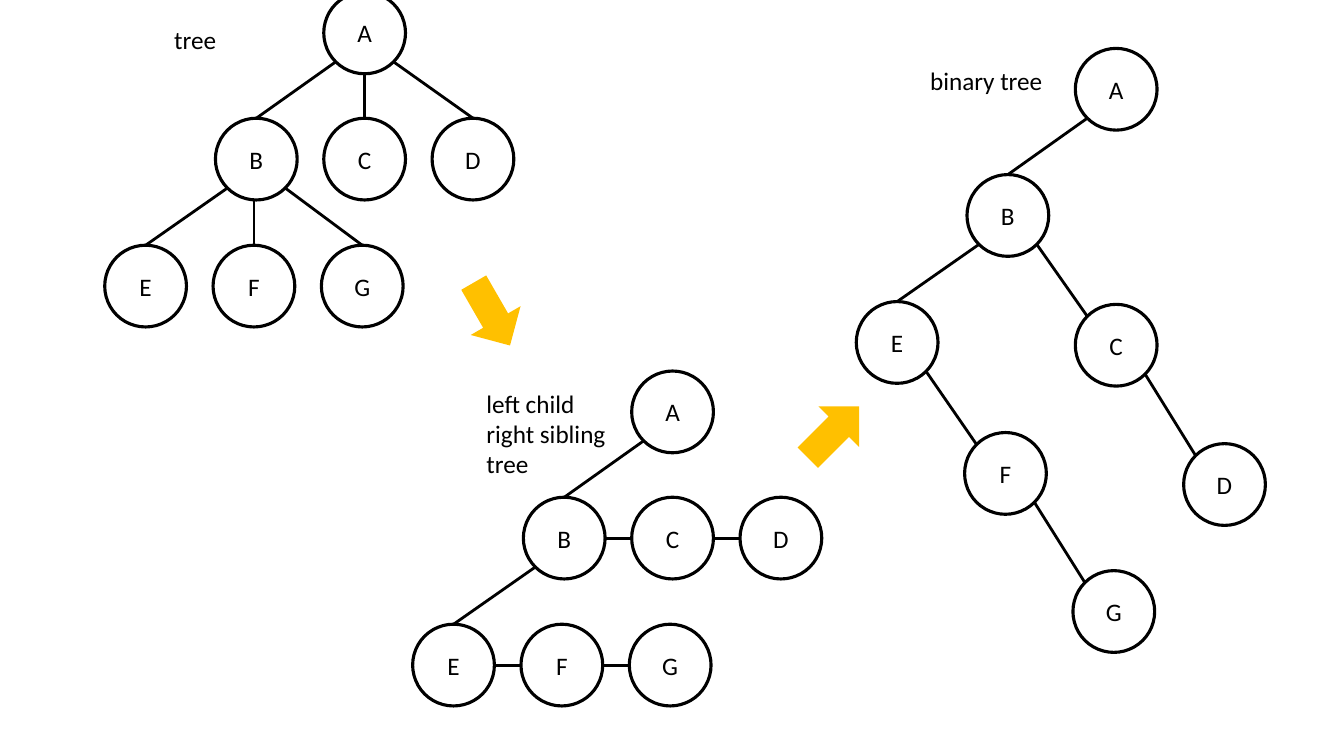
from lxml import etree
from pptx import Presentation
from pptx.dml.color import RGBColor
from pptx.enum.shapes import MSO_CONNECTOR, MSO_SHAPE
from pptx.enum.text import MSO_ANCHOR, MSO_AUTO_SIZE, PP_ALIGN
from pptx.oxml.ns import qn
from pptx.util import Cm, Pt

OVAL = MSO_SHAPE.OVAL
RIGHT_ARROW = MSO_SHAPE.RIGHT_ARROW
STRAIGHT = MSO_CONNECTOR.STRAIGHT
MIDDLE = MSO_ANCHOR.MIDDLE
CENTER = PP_ALIGN.CENTER
FIT_SHAPE = MSO_AUTO_SIZE.SHAPE_TO_FIT_TEXT

COLORS = {"ink": "000000", "node": "FFFFFF", "arrow": "FFC000"}
INK = RGBColor.from_string(COLORS["ink"])
FONT = "Calibri"
RADIUS = 1.03
DIAGONAL = RADIUS * 0.5 ** 0.5
SITES = {
    "top": (0, -RADIUS),
    "bottom": (0, RADIUS),
    "left": (-RADIUS, 0),
    "right": (RADIUS, 0),
    "upper left": (-DIAGONAL, -DIAGONAL),
    "lower left": (-DIAGONAL, DIAGONAL),
    "lower right": (DIAGONAL, DIAGONAL),
}

LEVEL_OFFSETS = {
    "B": (-2.73, 3.18), "C": (0, 3.18), "D": (2.73, 3.18), "A": (0, 0),
    "E": (-5.52, 6.38), "F": (-2.79, 6.38), "G": (-0.06, 6.38),
}
BINARY_OFFSETS = {
    "B": (-2.73, 3.18), "C": (0, 6.45), "D": (2.73, 9.96), "A": (0, 0),
    "E": (-5.52, 6.38), "F": (-2.79, 9.68), "G": (-0.06, 13.16),
}
LEFT_CHILD = ("lower left", "top")
MIDDLE_CHILD = ("bottom", "top")
RIGHT_CHILD = ("lower right", "top")
SIBLING = ("right", "left")
RIGHT_DESCENDANT = ("lower right", "upper left")

TREES = [
    (True, (9.19, 0.83), LEVEL_OFFSETS, {
        "AB": LEFT_CHILD, "AD": RIGHT_CHILD, "AC": MIDDLE_CHILD,
        "BE": LEFT_CHILD, "BG": RIGHT_CHILD, "BF": MIDDLE_CHILD,
    }),
    (True, (16.95, 10.38), LEVEL_OFFSETS, {
        "AB": LEFT_CHILD, "CD": SIBLING, "BC": SIBLING,
        "BE": LEFT_CHILD, "FG": SIBLING, "EF": SIBLING,
    }),
    (False, (28.13, 2.25), BINARY_OFFSETS, {
        "AB": LEFT_CHILD, "CD": RIGHT_DESCENDANT, "BC": RIGHT_DESCENDANT,
        "BE": LEFT_CHILD, "FG": RIGHT_DESCENDANT, "EF": RIGHT_DESCENDANT,
    }),
]
CAPTIONS = [
    (4.14, 0.48, 1.57, 1.02, ["tree"]),
    (12.01, 9.65, 3.56, 2.57, ["left child", "right sibling", "tree"]),
    (23.19, 1.52, 3.38, 1.02, ["binary tree"]),
]
ARROWS = [(11.48, 7.19, 60), (20.09, 10.16, 315)]


def style_paragraph(paragraph):
    paragraph.font.name = FONT
    paragraph.font.size = Pt(18)
    paragraph.font.color.rgb = INK


presentation = Presentation()
presentation.slide_width = Cm(33.87)
presentation.slide_height = Cm(19.05)
slide = presentation.slides.add_slide(presentation.slide_layouts[6])

for grouped, (root_x, root_y), offsets, edges in TREES:
    shapes = slide.shapes.add_group_shape().shapes if grouped else slide.shapes
    centers = {name: (root_x + x, root_y + y) for name, (x, y) in offsets.items()}

    for name, (x, y) in centers.items():
        node = shapes.add_shape(
            OVAL, Cm(x - RADIUS), Cm(y - RADIUS), Cm(2 * RADIUS), Cm(2 * RADIUS)
        )
        node.shadow.inherit = False
        node.fill.solid()
        node.fill.fore_color.rgb = RGBColor.from_string(COLORS["node"])
        node.line.color.rgb = INK
        node.line.width = Pt(2.25)
        node.text_frame.vertical_anchor = MIDDLE
        paragraph = node.text_frame.paragraphs[0]
        paragraph.text = name
        paragraph.alignment = CENTER
        style_paragraph(paragraph)

    for (parent, child), (parent_site, child_site) in edges.items():
        start_x, start_y = (c + s for c, s in zip(centers[parent], SITES[parent_site]))
        end_x, end_y = (c + s for c, s in zip(centers[child], SITES[child_site]))
        if parent_site == "bottom":
            start_x = end_x
        edge = shapes.add_connector(
            STRAIGHT, Cm(start_x), Cm(start_y), Cm(end_x), Cm(end_y)
        )
        edge.line.color.rgb = INK
        edge.line.width = Pt(2)
        etree.SubElement(edge._element.spPr, qn("a:effectLst"))

for left, top, width, height, lines in CAPTIONS:
    caption = slide.shapes.add_textbox(Cm(left), Cm(top), Cm(width), Cm(height))
    text_frame = caption.text_frame
    text_frame.word_wrap = False
    text_frame.auto_size = FIT_SHAPE
    text_frame.text = "\n".join(lines)
    for paragraph in text_frame.paragraphs:
        style_paragraph(paragraph)

for left, top, rotation in ARROWS:
    arrow = slide.shapes.add_shape(RIGHT_ARROW, Cm(left), Cm(top), Cm(1.83), Cm(1.45))
    arrow.rotation = rotation
    arrow.shadow.inherit = False
    arrow.fill.solid()
    arrow.fill.fore_color.rgb = RGBColor.from_string(COLORS["arrow"])
    arrow.line.fill.background()

presentation.save("out.pptx")
